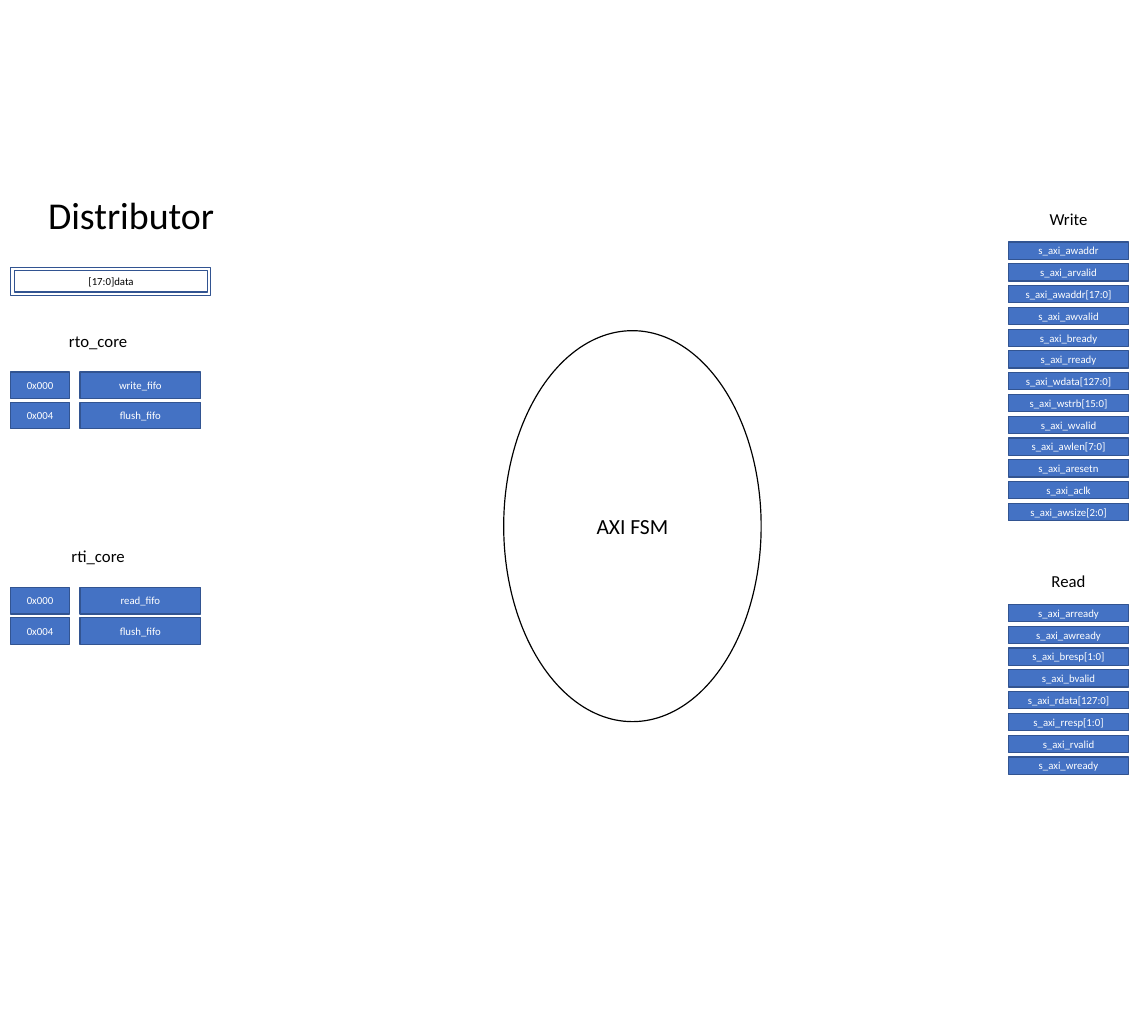
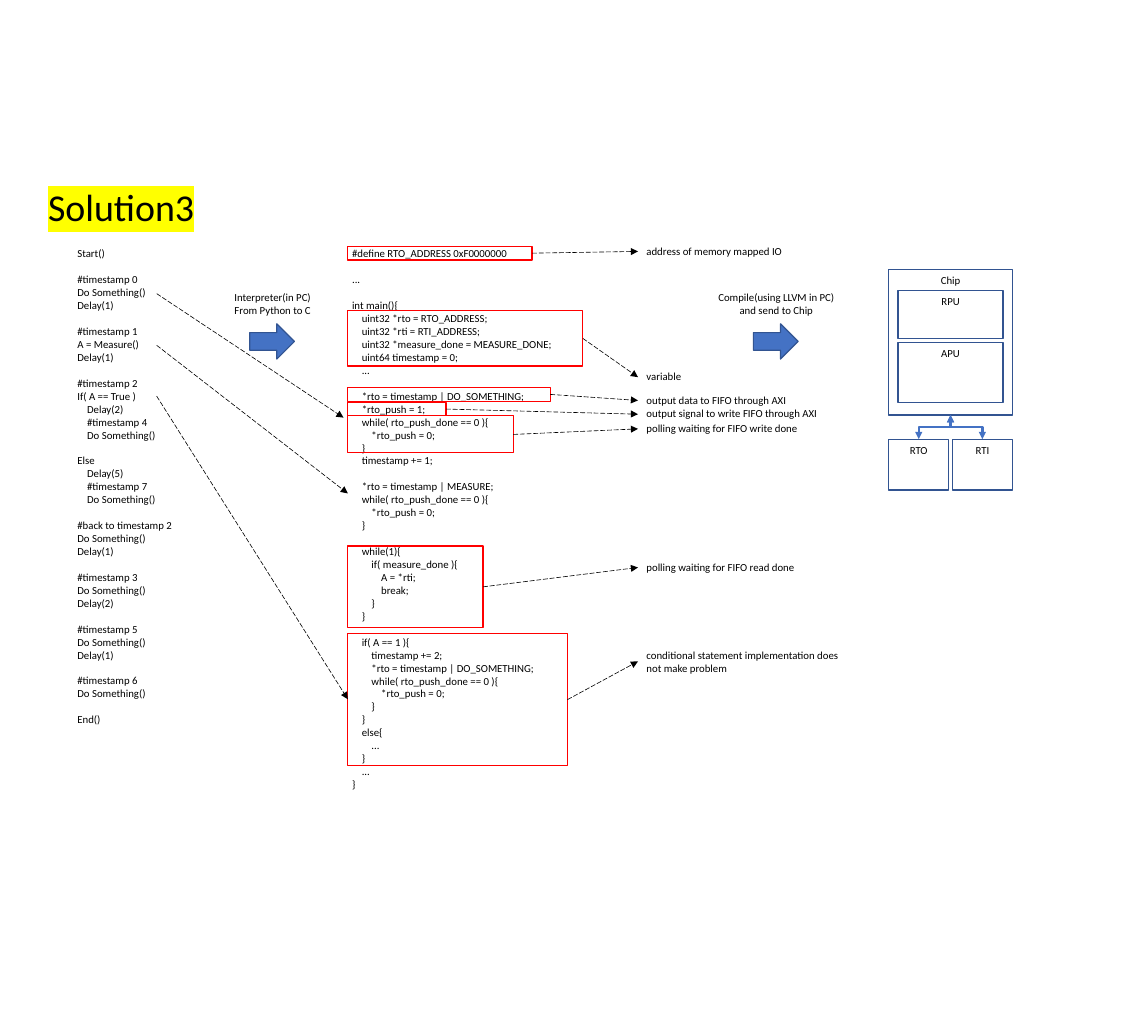
from dataclasses import dataclass

from lxml import etree
from pptx import Presentation
from pptx.dml.color import RGBColor
from pptx.enum.dml import MSO_LINE
from pptx.enum.shapes import MSO_CONNECTOR, MSO_SHAPE
from pptx.enum.text import MSO_ANCHOR, PP_ALIGN
from pptx.oxml.ns import qn
from pptx.util import Inches, Pt

RECT, OVAL, ARROW = MSO_SHAPE.RECTANGLE, MSO_SHAPE.OVAL, MSO_SHAPE.RIGHT_ARROW
STRAIGHT, ELBOW = MSO_CONNECTOR.STRAIGHT, MSO_CONNECTOR.ELBOW
LEFT, CENTER = PP_ALIGN.LEFT, PP_ALIGN.CENTER
TOP, MIDDLE = MSO_ANCHOR.TOP, MSO_ANCHOR.MIDDLE
LONG_DASH = MSO_LINE.LONG_DASH


@dataclass(frozen=True)
class Theme:
    font: str = "Calibri"
    blue: str = "4472C4"
    navy: str = "325491"
    red: str = "FF0000"
    black: str = "000000"
    white: str = "FFFFFF"
    yellow: str = "FFFF00"
    title: float = 31.7
    state: float = 18
    heading: float = 14
    body: float = 9
    code_line: float = 10.8


THEME = Theme()
COLUMNS, ROWS = 133.33, 118.1

WRITE_SIGNALS = """s_axi_awaddr s_axi_arvalid s_axi_awaddr[17:0] s_axi_awvalid
s_axi_bready s_axi_rready s_axi_wdata[127:0] s_axi_wstrb[15:0] s_axi_wvalid
s_axi_awlen[7:0] s_axi_aresetn s_axi_aclk s_axi_awsize[2:0]""".split()
READ_SIGNALS = """s_axi_arready s_axi_awready s_axi_bresp[1:0] s_axi_bvalid
s_axi_rdata[127:0] s_axi_rresp[1:0] s_axi_rvalid s_axi_wready""".split()

PYTHON_CODE = """Start()

#timestamp 0
Do Something()
Delay(1)

#timestamp 1
A = Measure()
Delay(1)

#timestamp 2
If( A == True )
    Delay(2)
    #timestamp 4
    Do Something()

Else
    Delay(5)
    #timestamp 7
    Do Something()

#back to timestamp 2
Do Something()
Delay(1)

#timestamp 3
Do Something()
Delay(2)

#timestamp 5
Do Something()
Delay(1)

#timestamp 6
Do Something()

End()"""

C_CODE = """#define RTO_ADDRESS 0xF0000000

...

int main(){
    uint32 *rto = RTO_ADDRESS;
    uint32 *rti = RTI_ADDRESS;
    uint32 *measure_done = MEASURE_DONE;
    uint64 timestamp = 0;
    ...

    *rto = timestamp | DO_SOMETHING;
    *rto_push = 1;
    while( rto_push_done == 0 ){
        *rto_push = 0;
    }
    timestamp += 1;

    *rto = timestamp | MEASURE;
    while( rto_push_done == 0 ){
        *rto_push = 0;
    }

    while(1){
        if( measure_done ){
            A = *rti;
            break;
        }
    }

    if( A == 1 ){
        timestamp += 2;
        *rto = timestamp | DO_SOMETHING;
        while( rto_push_done == 0 ){
            *rto_push = 0;
        }
    }
    else{
        ...
    }
    ...
}"""

CODE_NOTES = [
    (28.6, 21.4, 1.6, 27.9, 2.6, "address of memory mapped IO"),
    (36.1, 27.3, 6.4, 42.5, 2.6, "variable"),
    (45.0, 23.5, 1.6, 45.2, 2.6, "output data to FIFO through AXI"),
    (46.7, 11.4, 1.6, 46.8, 2.6, "output signal to write FIFO through AXI"),
    (48.3, 19.2, 4.3, 48.5, 2.6, "polling waiting for FIFO write done"),
    (63.4, 15.7, 9.5, 64.6, 2.6, "polling waiting for FIFO read done"),
    (73.6, 25.5, 15.3, 74.8, 4.0,
     "conditional statement implementation does not make problem"),
]


def grid(*cells):
    return [Inches(cell / 10) for cell in cells]


def color(code):
    return RGBColor.from_string(code)


def write(shape, text, size=THEME.body, ink=THEME.black, align=CENTER,
          anchor=TOP, leading=None):
    frame = shape.text_frame
    frame.word_wrap = True
    frame.vertical_anchor = anchor
    gap = 0
    para = frame.paragraphs[0]
    for number, line in enumerate(text.split("\n")):
        if not line:
            gap = THEME.code_line
            continue
        if number:
            para = frame.add_paragraph()
        para.text = line
        para.alignment = align
        if gap:
            para.space_before = Pt(gap)
            gap = 0
        if leading:
            para.line_spacing = leading
        para.font.name = THEME.font
        para.font.size = Pt(size)
        para.font.color.rgb = color(ink)


def add_text(page, area, text, **style):
    box = page.shapes.add_textbox(*grid(*area))
    write(box, text, **style)
    return box


def add_title(page, top, text):
    return add_text(page, (4.6, top, 115, 5.2), text, size=THEME.title,
                    align=LEFT, leading=0.7)


def add_heading(page, left, top, text):
    add_text(page, (left, top, 13.4, 3.1), text, size=THEME.heading, leading=0.9)


def add_box(page, area, text="", kind=RECT, fill=None, line=THEME.navy, **style):
    shape = page.shapes.add_shape(kind, *grid(*area))
    shape.shadow.inherit = False
    if fill:
        shape.fill.solid()
        shape.fill.fore_color.rgb = color(fill)
    else:
        shape.fill.background()
    shape.line.color.rgb = color(line)
    shape.line.width = Pt(1)
    if text:
        write(shape, text, **style)


def add_tile(page, area, text):
    add_box(page, area, text, fill=THEME.blue, ink=THEME.white, anchor=MIDDLE)


def add_line(page, kind, start, end, ink, width, heads):
    line = page.shapes.add_connector(kind, *grid(*start, *end))
    line.line.color.rgb = color(ink)
    line.line.width = Pt(width)
    stroke = line.line._get_or_add_ln()
    for head in heads:
        etree.SubElement(stroke, qn(f"a:{head}"), type="triangle")
    etree.SubElement(line._element.spPr, qn("a:effectLst"))
    return line


def add_dashed_arrow(page, start, end):
    arrow = add_line(page, STRAIGHT, start, end, THEME.black, 0.5, ["tailEnd"])
    arrow.line.dash_style = LONG_DASH


def add_branch(page, start, end):
    (x1, y1), (x2, y2) = start, end
    middle_x, middle_y = (x1 + x2) / 2, (y1 + y2) / 2
    side = 1 if x2 < x1 else -1
    half_width, half_height = side * (y2 - y1) / 2, abs(x2 - x1) / 2
    branch = add_line(page, ELBOW,
                      (middle_x - half_width, middle_y - half_height),
                      (middle_x + half_width, middle_y + half_height),
                      THEME.blue, 2, ["headEnd", "tailEnd"])
    turn = 90 if side == 1 else 270
    branch._element.spPr.find(qn("a:xfrm")).set("rot", str(turn * 60000))


def add_signals(page, top, title, names):
    add_heading(page, 117.4, top, title)
    for row, name in enumerate(names):
        add_tile(page, (117.1, top + 4.1 + row * 2.53, 14, 2), name)


def add_core(page, top, title, commands):
    add_heading(page, 4.7, top, title)
    for row, command in enumerate(commands):
        y = top + 5 + row * 3.5
        add_tile(page, (1.2, y, 6.9, 3.1), f"0x{row * 4:03X}")
        add_tile(page, (9.3, y, 14, 3.1), command)


def add_step(page, left, text):
    add_text(page, (left, 33.3, 17.5, 4.4), text)
    add_box(page, (left + 6.1, 37.6, 5.2, 4.1), kind=ARROW, fill=THEME.blue)


def add_code_note(page, top, width, height, note_top, note_height, note):
    add_box(page, (40.4, top, width, height), line=THEME.red)
    add_text(page, (74.1, note_top, 24.7, note_height), note, align=LEFT)
    add_dashed_arrow(page, (40.4 + width, top + height / 2),
                     (74.1, note_top + note_height / 2))


def build_distributor(page):
    add_title(page, 23.2, "Distributor")
    add_signals(page, 24, "Write", WRITE_SIGNALS)
    add_signals(page, 66.1, "Read", READ_SIGNALS)
    add_box(page, (1.2, 31.1, 23.3, 3.2))
    add_box(page, (1.7, 31.4, 22.4, 2.5), "[17:0]data", anchor=MIDDLE)
    add_core(page, 38.2, "rto_core", ["write_fifo", "flush_fifo"])
    add_core(page, 63.2, "rti_core", ["read_fifo", "flush_fifo"])
    add_box(page, (58.5, 38.4, 29.9, 45.4), "AXI FSM", kind=OVAL,
            line=THEME.black, size=THEME.state, anchor=MIDDLE)


def build_solution(page):
    title = add_title(page, 22.3, "Solution3")
    span = title.text_frame.paragraphs[0].runs[0]
    highlight = etree.SubElement(span._r.get_or_add_rPr(), qn("a:highlight"))
    etree.SubElement(highlight, qn("a:srgbClr"), val=THEME.yellow)

    add_text(page, (8, 28.2, 17.5, 58.3), PYTHON_CODE, align=LEFT)
    add_text(page, (39.9, 28.2, 31.8, 67.3), C_CODE, align=LEFT)
    add_step(page, 22.9, "Interpreter(in PC)\nFrom Python to C")
    add_step(page, 81.4, "Compile(using LLVM in PC) and send to Chip")
    for note in CODE_NOTES:
        add_code_note(page, *note)
    for start_y, end in [(34.1, (39.9, 48.5)), (40.1, (40.4, 57.3)),
                         (46, (40.4, 81.2))]:
        add_dashed_arrow(page, (18.2, start_y), end)

    add_box(page, (103.2, 31.3, 14.4, 16.9), "Chip")
    add_box(page, (104.3, 33.7, 12.2, 5.6), "RPU")
    add_box(page, (104.3, 39.8, 12.2, 6.9), "APU")
    for left, name in [(103.2, "RTO"), (110.6, "RTI")]:
        add_box(page, (left, 51, 7, 5.9), name)
        add_branch(page, (110.4, 48.2), (left + 3.5, 51))


def main():
    deck = Presentation()
    deck.slide_width, deck.slide_height = grid(COLUMNS, ROWS)
    for build in (build_distributor, build_solution):
        build(deck.slides.add_slide(deck.slide_layouts[6]))
    deck.save("out.pptx")


if __name__ == "__main__":
    main()
